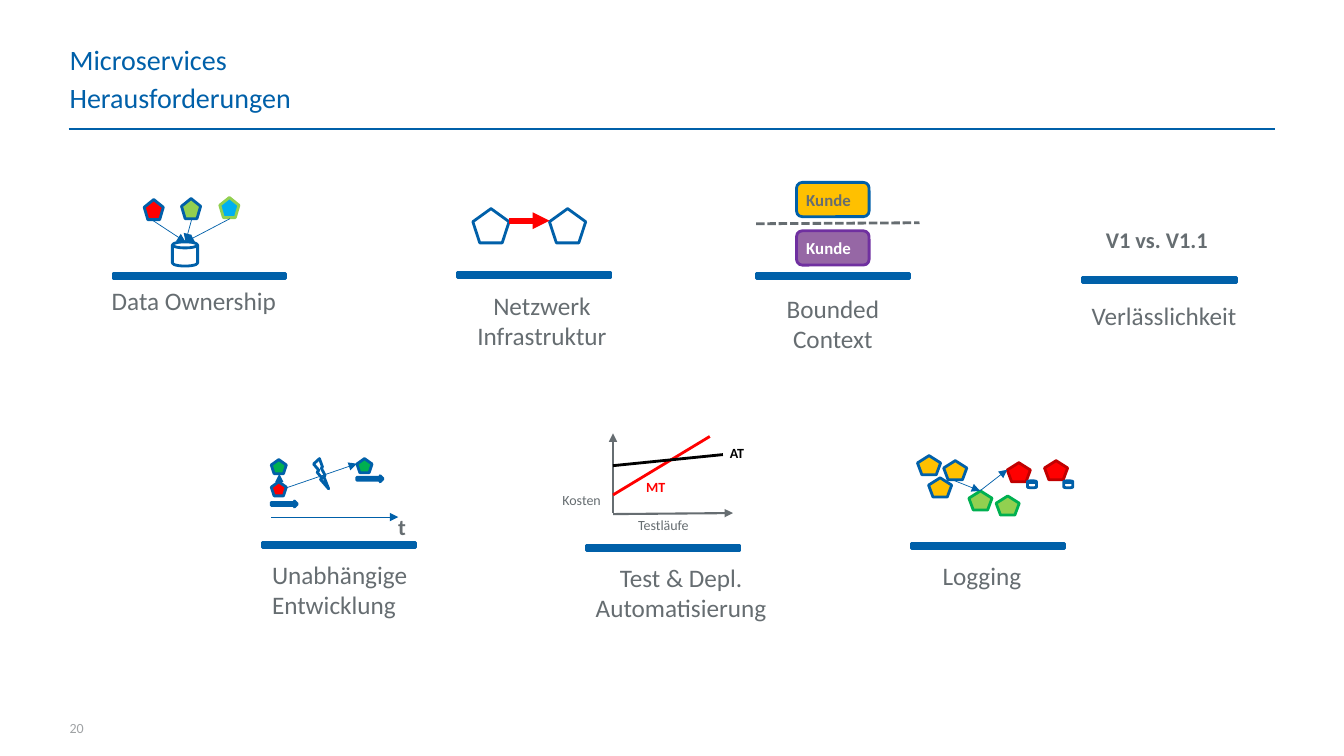
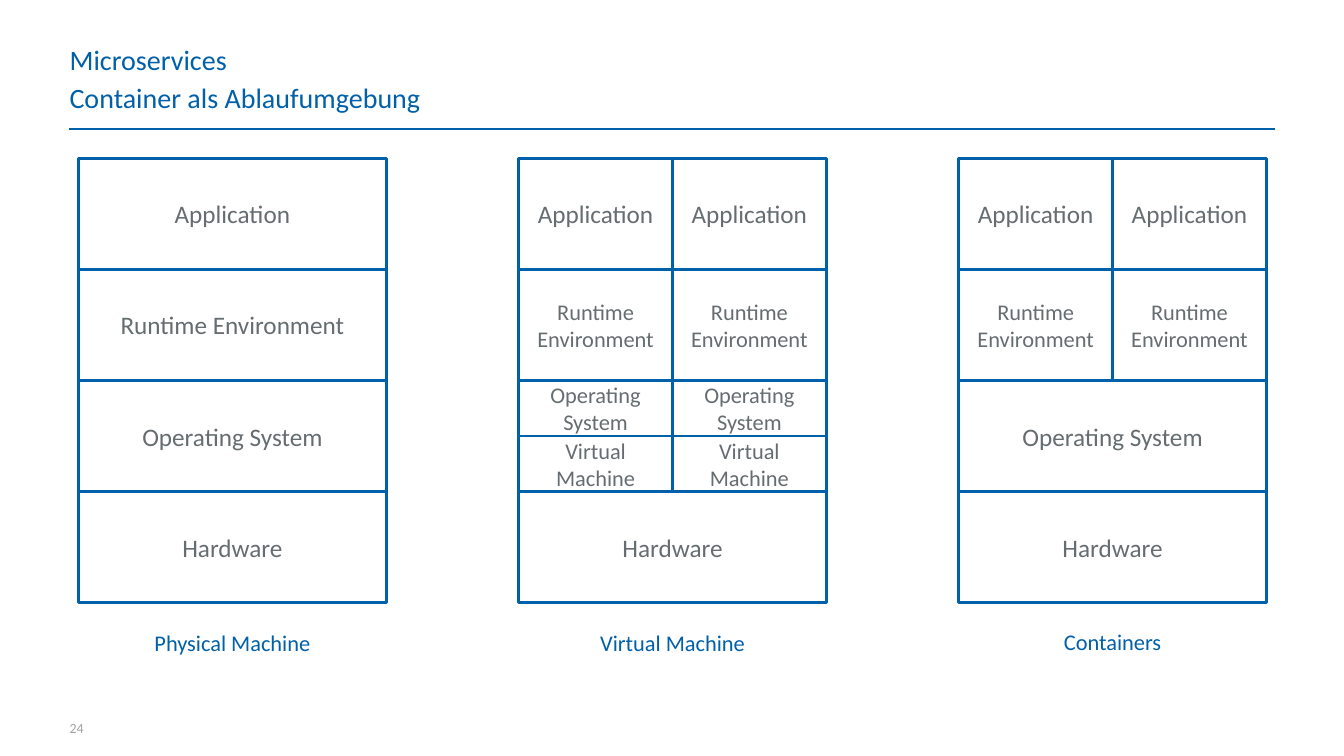
from lxml.etree import SubElement
from pptx import Presentation
from pptx.dml.color import RGBColor
from pptx.enum.dml import MSO_LINE
from pptx.enum.shapes import MSO_CONNECTOR, MSO_SHAPE
from pptx.enum.text import MSO_ANCHOR, PP_ALIGN
from pptx.oxml.ns import qn
from pptx.util import Inches, Pt

BLUE = RGBColor(0x00, 0x60, 0xA9)
GRAY = RGBColor(0x66, 0x6D, 0x71)
PALE = RGBColor(0xA0, 0xA3, 0xA5)
RED = RGBColor(0xFF, 0x00, 0x00)
DARK_RED = RGBColor(0xC0, 0x00, 0x00)
GREEN = RGBColor(0x00, 0xB0, 0x50)
LIME = RGBColor(0x92, 0xD0, 0x50)
SKY = RGBColor(0x00, 0xB0, 0xF0)
AMBER = RGBColor(0xFF, 0xC0, 0x00)
MAUVE = RGBColor(0x96, 0x67, 0xA5)
PURPLE = RGBColor(0x70, 0x30, 0xA0)
BLACK = RGBColor(0x00, 0x00, 0x00)
WHITE = RGBColor(0xFF, 0xFF, 0xFF)

FONT = "Calibri"
LEFT, CENTER = PP_ALIGN.LEFT, PP_ALIGN.CENTER
PENTAGON, CAN = MSO_SHAPE.REGULAR_PENTAGON, MSO_SHAPE.CAN
ARROW, BOLT = MSO_SHAPE.RIGHT_ARROW, MSO_SHAPE.LIGHTNING_BOLT
BAR_H = 0.05


def pentagons(w, h, fill, line, *spots):
    return [(PENTAGON, x, y, w, h, fill, line) for x, y in spots]


def arrows(color, width, *ends):
    return [(start, end, color, width, True) for start, end in ends]


TOPICS = [
    dict(
        bar=(1.12, 2.71, 1.71),
        caption=("Data Ownership", 1.01, 2.78, 2.15, 0.4, LEFT),
        icons=pentagons(0.19, 0.2, LIME, BLUE, (1.8, 1.97))
        + pentagons(0.19, 0.2, SKY, LIME, (2.18, 1.96))
        + pentagons(0.19, 0.2, RED, BLUE, (1.43, 1.98))
        + [(CAN, 1.71, 2.4, 0.25, 0.24, None, BLUE)],
        lines=arrows(BLUE, 0.5, *[(start, (1.84, 2.4)) for start in
                                  ((1.52, 2.19), (1.9, 2.18), (2.28, 2.17))]),
    ),
    dict(
        bar=(4.54, 2.7, 1.52),
        caption=("Netzwerk Infrastruktur", 4.44, 2.83, 1.87, 0.71, CENTER),
        icons=pentagons(0.36, 0.34, None, BLUE, (4.69, 2.07), (5.45, 2.07)),
        lines=arrows(RED, 4, ((5.05, 2.19), (5.45, 2.19))),
    ),
    dict(
        bar=(7.5, 2.71, 1.52),
        caption=("Bounded Context", 7.5, 2.86, 1.52, 0.71, CENTER),
        cards=[("Kunde", 1.81, AMBER, BLUE, GRAY),
               ("Kunde", 2.29, MAUVE, PURPLE, WHITE)],
        divider=((7.5, 2.22), (9.12, 2.21)),
    ),
    dict(
        bar=(10.74, 2.75, 1.52),
        caption=("Verlässlichkeit", 10.57, 2.93, 1.95, 0.4, CENTER),
        labels=[("V1 vs. V1.1", 10.87, 2.19, 1.23, 0.37, 16, GRAY, True)],
    ),
    dict(
        bar=(2.6, 5.38, 1.52),
        caption=("Unabhängige Entwicklung", 2.6, 5.5, 1.84, 0.71, LEFT),
        icons=[(ARROW, 2.69, 4.97, 0.26, 0.06, BLUE, BLUE),
               (ARROW, 3.54, 4.72, 0.26, 0.06, BLUE, BLUE)]
        + pentagons(0.15, 0.14, RED, BLUE, (2.69, 4.78))
        + pentagons(0.15, 0.14, GREEN, BLUE, (3.54, 4.55), (2.69, 4.56))
        + [(BOLT, 3.11, 4.55, 0.15, 0.3, None, BLUE)],
        lines=arrows(BLUE, 0.5, ((2.69, 5.13), (3.95, 5.13)),
                     ((2.77, 4.78), (2.77, 4.7)), ((2.84, 4.84), (3.54, 4.6))),
        labels=[("t", 3.85, 5.04, 0.28, 0.37, 16, GRAY, True)],
    ),
    dict(
        bar=(5.82, 5.41, 1.52),
        caption=("Test & Depl. Automatisierung", 5.61, 5.53, 2.29, 0.71, CENTER),
        lines=arrows(GRAY, 1.5, ((6.08, 5.09), (6.08, 4.3)),
                     ((6.08, 5.1), (7.27, 5.09)))
        + [((6.08, 4.91), (7.04, 4.33), RED, 2, False),
           ((6.08, 4.62), (7.17, 4.51), BLACK, 2, False)],
        labels=[("Kosten", 5.48, 4.83, 0.63, 0.27, 10, GRAY, False),
                ("Testläufe", 6.23, 5.08, 0.78, 0.27, 10, GRAY, False),
                ("MT", 6.31, 4.7, 0.42, 0.27, 10, RED, True),
                ("AT", 7.14, 4.36, 0.38, 0.27, 10, BLACK, True)],
    ),
    dict(
        bar=(9.04, 5.39, 1.52),
        caption=("Logging", 9.25, 5.51, 1.45, 0.4, LEFT),
        icons=pentagons(0.23, 0.19, AMBER, BLUE, (9.1, 4.52), (9.36, 4.57), (9.21, 4.74))
        + pentagons(0.23, 0.19, RED, DARK_RED, (9.99, 4.59), (10.36, 4.57))
        + pentagons(0.23, 0.19, LIME, GREEN, (9.61, 4.87), (9.88, 4.92))
        + [(CAN, x, 4.77, 0.09, 0.07, None, BLUE) for x in (10.55, 10.19)],
        lines=arrows(BLUE, 0.5, ((9.47, 4.77), (9.72, 4.87)),
                     ((9.72, 4.87), (9.99, 4.66))),
    ),
]

APP, RUNTIME = "Application", "Runtime Environment"
SYSTEM, MACHINE, HARDWARE = "Operating System", "Virtual Machine", "Hardware"
STACKS = [
    ("Physical Machine", 6.19,
     [(APP, 1, 1, 18), (RUNTIME, 1, 1, 18), (SYSTEM, 1, 1, 18), (HARDWARE, 1, 1, 18)]),
    ("Virtual Machine", 6.19,
     [(APP, 2, 1, 18), (RUNTIME, 2, 1, 16), (SYSTEM, 2, 0.5, 16),
      (MACHINE, 2, 0.5, 16), (HARDWARE, 1, 1, 18)]),
    ("Containers", 6.18,
     [(APP, 2, 1, 18), (RUNTIME, 2, 1, 16), (SYSTEM, 1, 1, 18), (HARDWARE, 1, 1, 18)]),
]
STACK_LEFT, STACK_RIGHT, STACK_W = 0.78, 12.56, 3.05
STACK_TOP, STACK_BOTTOM, LAYERS = 1.57, 5.98, 4
NAME_W = 2.39


def write(shape, text, size, color, align=LEFT, bold=False, before=0, after=0):
    p = shape.text_frame.paragraphs[0]
    p.text = text
    p.alignment = align
    p.space_before, p.space_after = Pt(before), Pt(after)
    p.font.name, p.font.size, p.font.bold = FONT, Pt(size), bold
    p.font.color.rgb = color
    return p


def add_text(s, text, x, y, w, h, size, color, wrap=True, **style):
    box = s.shapes.add_textbox(*map(Inches, (x, y, w, h)))
    box.text_frame.word_wrap = wrap
    write(box, text, size, color, **style)
    return box


def add_plain(s, text, x, y, w, h, size, color, **style):
    tf = add_text(s, text, x, y, w, h, size, color, **style).text_frame
    tf.margin_left = tf.margin_right = tf.margin_top = tf.margin_bottom = 0
    tf.vertical_anchor = MSO_ANCHOR.MIDDLE
    return tf


def add_shape(s, kind, x, y, w, h, fill, line):
    sp = s.shapes.add_shape(kind, *map(Inches, (x, y, w, h)))
    sp.shadow.inherit = False
    if fill is None:
        sp.fill.background()
    else:
        sp.fill.solid()
        sp.fill.fore_color.rgb = fill
    sp.line.color.rgb = line
    sp.line.width = Pt(2)
    return sp


def add_box(s, kind, text, x, y, w, h, fill, line, size, color, **style):
    sp = add_shape(s, kind, x, y, w, h, fill, line)
    tf = sp.text_frame
    tf.word_wrap = True
    tf.vertical_anchor = MSO_ANCHOR.MIDDLE
    tf.margin_left = tf.margin_right = Inches(0.08)
    tf.margin_top = tf.margin_bottom = Inches(0.06)
    write(sp, text, size, color, **style)


def add_line(s, start, end, color, width, arrow=False):
    line = s.shapes.add_connector(MSO_CONNECTOR.STRAIGHT, *map(Inches, start + end))
    line.line.color.rgb = color
    line.line.width = Pt(width)
    if arrow:
        SubElement(line.line._get_or_add_ln(), qn("a:tailEnd"), type="triangle")
    SubElement(line._element.spPr, qn("a:effectLst"))
    return line


def add_page(prs, subtitle, number):
    s = prs.slides.add_slide(prs.slide_layouts[6])
    add_line(s, (0.68, 1.28), (12.65, 1.28), BLUE, 2)
    add_plain(s, "Microservices", 0.69, 0.4, 11.96, 0.37, 20, BLUE, before=3, after=3)
    add_plain(s, subtitle, 0.69, 0.78, 11.96, 0.37, 20, BLUE, before=6, after=3)
    tf = add_plain(s, number, 0.69, 7.1, 0.52, 0.16, 10, PALE)
    tf.paragraphs[0].line_spacing = 1.5
    return s


def add_topic(s, topic):
    x, y, w = topic["bar"]
    add_shape(s, MSO_SHAPE.RECTANGLE, x, y, w, BAR_H, BLUE, BLUE)
    text, x, y, w, h, align = topic["caption"]
    add_text(s, text, x, y, w, h, 18, GRAY, align=align, after=3)
    for icon in topic.get("icons", []):
        add_shape(s, *icon)
    for text, y, fill, line, color in topic.get("cards", []):
        add_box(s, MSO_SHAPE.ROUNDED_RECTANGLE, text, 7.9, y, 0.72, 0.34,
                fill, line, 12, color, bold=True)
    if "divider" in topic:
        add_line(s, *topic["divider"], GRAY, 2).line.dash_style = MSO_LINE.SQUARE_DOT
    for line in topic.get("lines", []):
        add_line(s, *line)
    for text, x, y, w, h, size, color, bold in topic.get("labels", []):
        add_text(s, text, x, y, w, h, size, color, wrap=False, bold=bold)


def add_stack(s, x, name, name_y, rows):
    y = STACK_TOP
    for text, count, share, size in rows:
        w = STACK_W / count
        h = share * (STACK_BOTTOM - STACK_TOP) / LAYERS
        for i in range(count):
            add_box(s, MSO_SHAPE.RECTANGLE, text, x + i * w, y, w, h,
                    None, BLUE, size, GRAY, align=CENTER)
        y += h
    add_text(s, name, x + (STACK_W - NAME_W) / 2, name_y, NAME_W, 0.37, 16, BLUE,
             align=CENTER, after=3)


def main():
    prs = Presentation()
    prs.slide_width, prs.slide_height = Inches(13.33), Inches(7.5)

    s = add_page(prs, "Herausforderungen", "20")
    for topic in TOPICS:
        add_topic(s, topic)

    s = add_page(prs, "Container als Ablaufumgebung", "24")
    step = (STACK_RIGHT - STACK_W - STACK_LEFT) / (len(STACKS) - 1)
    for i, stack in enumerate(STACKS):
        add_stack(s, STACK_LEFT + i * step, *stack)

    prs.save("out.pptx")


if __name__ == "__main__":
    main()
